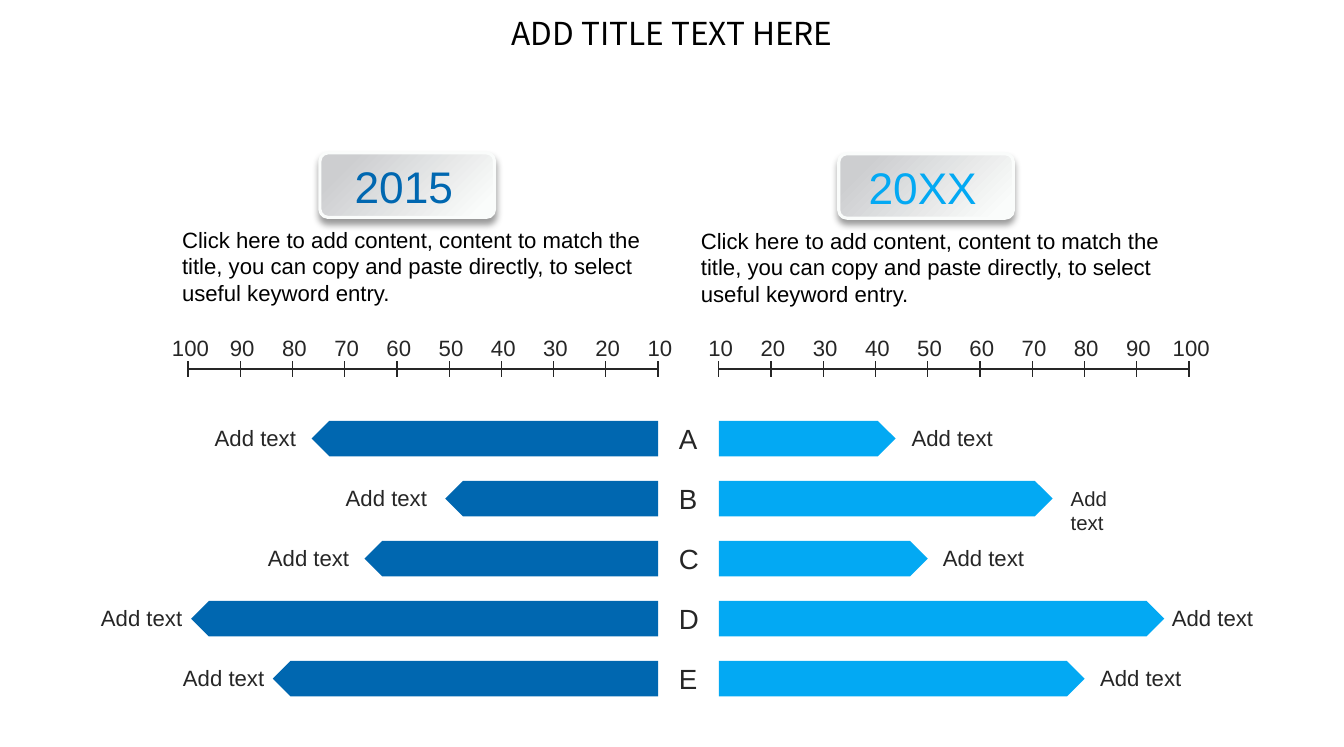
import dataclasses

import pptx
import pptx.dml.color
import pptx.enum.shapes
import pptx.enum.text
import pptx.oxml
import pptx.oxml.ns
import pptx.oxml.xmlchemy
import pptx.util

Pt = pptx.util.Pt
RGB = pptx.dml.color.RGBColor.from_string
SHAPE = pptx.enum.shapes.MSO_SHAPE
ALIGN = pptx.enum.text.PP_ALIGN


@dataclasses.dataclass(frozen=True)
class Theme:
    font: str = "Arial"
    title_font: str = "Noto Sans CJK SC"
    black: str = "000000"
    ink: str = "262626"
    left: str = "0067B0"
    right: str = "03A9F3"
    card: tuple = ((0.15, "CDCED0"), (0.92, "FAFCFB"))
    card_edge: str = "FAFCFB"
    title: float = 18
    year: float = 25.2
    letter: float = 15.8
    body: float = 12.6
    small: float = 11.6


class Deck:
    """Holds the theme and the current slide and draws each kind of element."""

    def __init__(self, width, height, theme):
        self.prs = pptx.Presentation()
        self.prs.slide_width, self.prs.slide_height = Pt(width), Pt(height)
        self.theme = theme
        self.s = self.prs.slides.add_slide(self.prs.slide_layouts[6])

    def group(self):
        return self.s.shapes.add_group_shape().shapes

    def text(self, text, x, y, w, h, size, color=None, font=None, align=ALIGN.LEFT,
             wrap=False, inset=(5.7, 2.85), shapes=None):
        sp = (shapes or self.s.shapes).add_textbox(Pt(x), Pt(y), Pt(w), Pt(h))
        tf = sp.text_frame
        dx, dy = map(Pt, inset)
        frame = {"word_wrap": wrap, "margin_left": dx, "margin_right": dx,
                 "margin_top": dy, "margin_bottom": dy,
                 "auto_size": pptx.enum.text.MSO_AUTO_SIZE.SHAPE_TO_FIT_TEXT}
        for name, value in frame.items():
            setattr(tf, name, value)
        p = tf.paragraphs[0]
        p.alignment = align
        r = p.add_run()
        r.text = text
        for name, value in {"size": Pt(size), "name": font or self.theme.font}.items():
            setattr(r.font, name, value)
        r.font.color.rgb = RGB(color or self.theme.ink)

    def line(self, x1, y1, x2, y2, shapes):
        sp = shapes.add_connector(pptx.enum.shapes.MSO_CONNECTOR.STRAIGHT,
                                  Pt(x1), Pt(y1), Pt(x2), Pt(y2))
        sp.line.color.rgb = RGB(self.theme.ink)
        sp.line.width = Pt(0.75)
        sp.element.spPr.append(pptx.oxml.xmlchemy.OxmlElement("a:effectLst"))

    def bar(self, x, y, w, h, color, flip):
        sp = self.s.shapes.add_shape(SHAPE.PENTAGON, Pt(x), Pt(y), Pt(w), Pt(h))
        sp.shadow.inherit = False
        sp.fill.solid()
        sp.fill.fore_color.rgb = RGB(color)
        sp.line.fill.background()
        if flip:
            sp.element.spPr.xfrm.set("flipH", "1")

    def card(self, x, y, w, h, shapes):
        sp = shapes.add_shape(SHAPE.ROUNDED_RECTANGLE, Pt(x), Pt(y), Pt(w), Pt(h))
        sp.adjustments[0] = 0.125
        sp.fill.gradient()
        sp.fill.gradient_angle = 315
        for stop, (position, color) in zip(sp.fill.gradient_stops, self.theme.card):
            stop.position = position
            stop.color.rgb = RGB(color)
        sp.line.color.rgb = RGB(self.theme.card_edge)
        sp.line.width = Pt(1.75)
        sp.shadow.inherit = False
        effects = sp.element.spPr.find(pptx.oxml.ns.qn("a:effectLst"))
        effects.append(pptx.oxml.parse_xml(
            f'<a:outerShdw {pptx.oxml.ns.nsdecls("a")} blurRad="{Pt(4)}" dist="{Pt(3)}" '
            'dir="5400000" algn="t" rotWithShape="0"><a:srgbClr val="000000">'
            '<a:alpha val="40000"/></a:srgbClr></a:outerShdw>'))

    def axis(self, base, direction):
        step, y = 29.74, 210.2
        ticks = [(10 * (k + 1), base + direction * step * k) for k in range(10)]
        shapes = self.group()
        self.line(base, y, ticks[-1][1], y, shapes)
        for _, x in ticks:
            self.line(x, y + 4.3, x, y - 4.3, shapes)
        for value, x in ticks:
            w = 32.4 if value == 100 else 25.9
            self.text(str(value), x + 1.3 - w / 2, 187.3, w, 20.9, self.theme.body)

    def header(self, year, color, dx, dy):
        shapes = self.group()
        self.card(182.2 + dx, 87.1 + dy, 99.4, 36.7, shapes)
        self.text(year, 184.3 + dx, 87.1 + dy, 91.4, 38.2, self.theme.year, color,
                  align=ALIGN.CENTER, wrap=True, inset=(7.2, 3.6), shapes=shapes)
        self.text(BODY, 96.6 + dx, 125.3 + dy, 277.9, 53.3, self.theme.body,
                  self.theme.black, wrap=True, inset=(7.2, 3.6))


BODY = ("Click here to add content, content to match the title, you can copy "
        "and paste directly, to select useful keyword entry.")
theme = Theme()
deck = Deck(765.4, 425.5, theme)
ROW_TOP, ROW_STEP, BAR_H = 239.7, 34.2, 20.2
LEFT_BASE, RIGHT_BASE = 374.8, 409.4
ROWS = [
    ("A", 197.3, 116.6, 100.6, 513.4, theme.body),
    ("B", 121.2, 191.2, 190.1, 604.1, theme.small),
    ("C", 167.2, 146.9, 119, 531.2, theme.body),
    ("D", 265.9, 51.8, 253.7, 661.7, theme.body),
    ("E", 219.4, 98.5, 208.3, 620.8, theme.body),
]

for base, direction in ((LEFT_BASE, -1), (RIGHT_BASE, 1)):
    deck.axis(base, direction)
for i, (letter, left_w, left_x, right_w, right_x, right_size) in enumerate(ROWS):
    y = ROW_TOP + ROW_STEP * i
    deck.bar(LEFT_BASE - left_w, y, left_w, BAR_H, theme.left, True)
    deck.bar(RIGHT_BASE, y, right_w, BAR_H, theme.right, False)
    for x, size in ((left_x, theme.body), (right_x, right_size)):
        w, h = (58.3, 20.9) if size == theme.body else (54, 19.4)
        deck.text("Add text", x, y + 9.8 - h / 2, w, h, size)
    deck.text(letter, 380.9, y - 2.5, 22.5, 24.5, theme.letter)
deck.header("2015", theme.left, 0, 0)
deck.header("20XX", theme.right, 295.5, 0.5)
deck.text("ADD TITLE TEXT HERE", 267.1, 5, 231.1, 27.4, theme.title, theme.black,
          theme.title_font, ALIGN.CENTER, True, (5, 2.85))
deck.prs.save("out.pptx")
